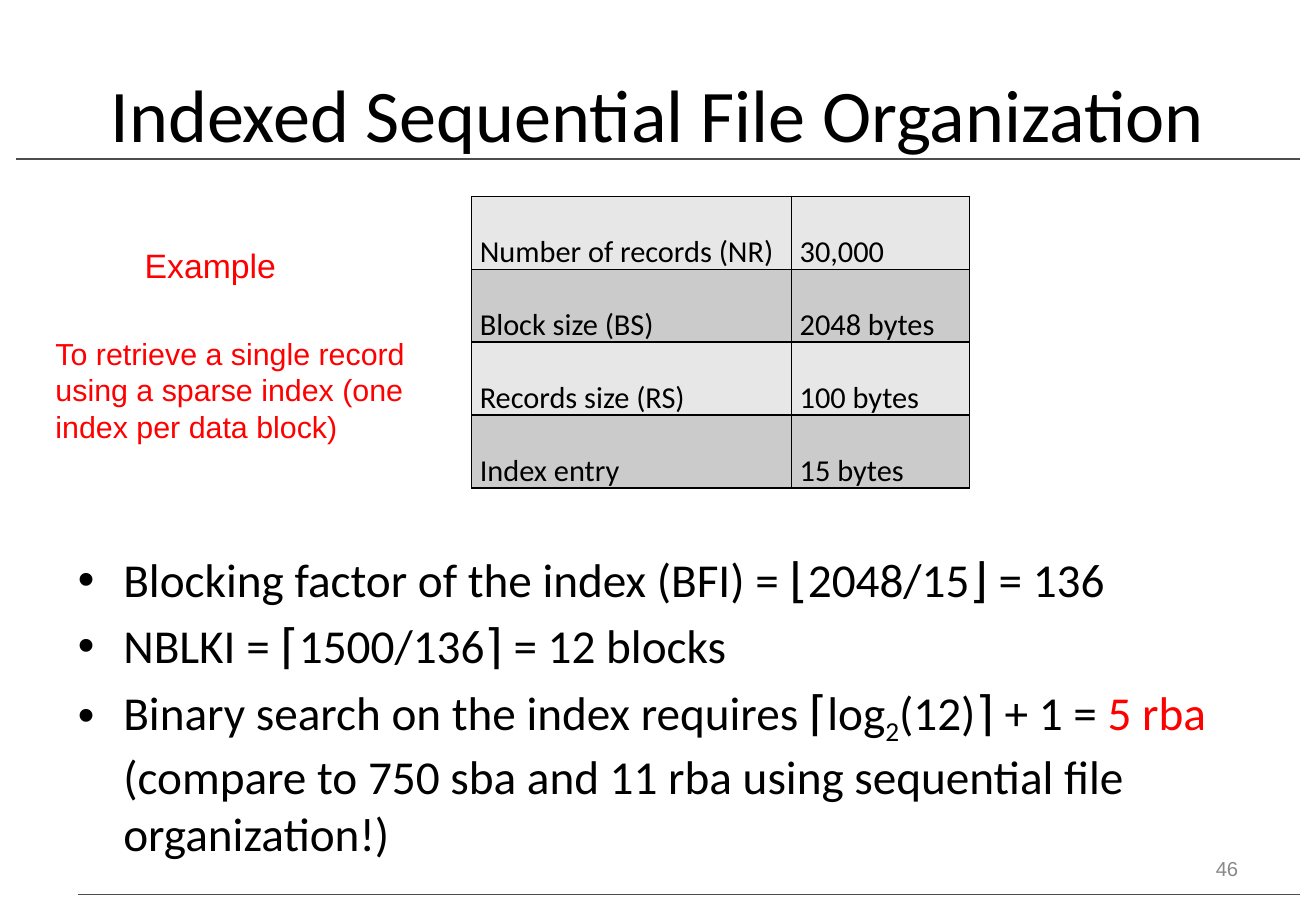
from lxml.etree import SubElement
from pptx import Presentation
from pptx.dml.color import RGBColor
from pptx.enum.shapes import MSO_CONNECTOR
from pptx.enum.text import MSO_ANCHOR, PP_ALIGN
from pptx.oxml.ns import qn
from pptx.util import Pt

EMU_PER_PX = 7620
BLACK, RED, GREY = "000000", "FF0000", "898989"
RULE_COLOUR = "4D4D4D"
ROW_FILLS = ("E7E7E7", "CBCBCB")

FILE_FACTS = [
    ("Number of records (NR)", "30,000"),
    ("Block size (BS)", "2048 bytes"),
    ("Records size (RS)", "100 bytes"),
    ("Index entry", "15 bytes"),
]
CALCULATIONS = [
    [("Blocking factor of the index (BFI) = ⌊2048/15⌋ = 136", BLACK, None)],
    [("NBLKI = ⌈1500/136⌉ = 12 blocks", BLACK, None)],
    [
        ("Binary search on the index requires ⌈log", BLACK, None),
        ("2", BLACK, "-25000"),
        ("(12)⌉ + 1 = ", BLACK, None),
        ("5 rba ", RED, None),
        ("(compare to 750 sba and 11 rba using sequential file organization!)", BLACK, None),
    ],
]


def px(length):
    """Turn a length in px into EMU."""
    return length * EMU_PER_PX


def colour(value):
    """Turn a hex string into a colour."""
    return RGBColor.from_string(value)


def style(paragraph, size, name, shade):
    """Set the font of a paragraph."""
    font = paragraph.font
    font.size, font.name = Pt(size), name
    font.color.rgb = colour(shade)


def add_text(page, box, lines, size, name, shade, align=PP_ALIGN.LEFT, anchor=MSO_ANCHOR.TOP):
    """Add a wrapped text box with one paragraph for each line."""
    frame = page.shapes.add_textbox(*map(px, box)).text_frame
    frame.word_wrap = True
    frame.vertical_anchor = anchor
    frame.text = "\n".join(lines)
    for paragraph in frame.paragraphs:
        paragraph.alignment = align
        style(paragraph, size, name, shade)


def add_rule(page, left, right, top, width):
    """Draw a horizontal rule."""
    rule = page.shapes.add_connector(MSO_CONNECTOR.STRAIGHT, *map(px, (left, top, right, top)))
    rule.line.color.rgb = colour(RULE_COLOUR)
    rule.line.width = Pt(width)
    SubElement(rule._element.spPr, qn("a:effectLst"))


def add_borders(cell):
    """Draw a thin black border on each side of a cell."""
    properties = cell._tc.get_or_add_tcPr()
    for side in ("lnL", "lnR", "lnT", "lnB"):
        line = SubElement(properties, qn(f"a:{side}"), w=str(Pt(1)))
        fill = SubElement(line, qn("a:solidFill"))
        SubElement(fill, qn("a:srgbClr"), val=BLACK)


def add_facts(page, box):
    """Add the table of file facts."""
    left, top, width, height = box
    table = page.shapes.add_table(len(FILE_FACTS), 2, *map(px, box)).table
    table.first_row = table.horz_banding = False
    label_width = 316
    table.columns[0].width = px(label_width)
    table.columns[1].width = px(width - label_width)
    for index, facts in enumerate(FILE_FACTS):
        table.rows[index].height = px(height // len(FILE_FACTS))
        for cell, text in zip(table.rows[index].cells, facts):
            cell.text = text
            cell.margin_left = cell.margin_right = px(8)
            cell.margin_top = cell.margin_bottom = 0
            add_borders(cell)
            cell.fill.solid()
            cell.fill.fore_color.rgb = colour(ROW_FILLS[index % 2])
            paragraph = cell.text_frame.paragraphs[0]
            paragraph.line_spacing = 2.0
            style(paragraph, 18, "Calibri", BLACK)


def add_bullet(paragraph, indent):
    """Give a paragraph a round bullet with a hanging indent."""
    properties = paragraph._p.get_or_add_pPr()
    properties.set("marL", str(px(indent)))
    properties.set("indent", str(px(-indent)))
    SubElement(properties, qn("a:buFont"), typeface="Arial")
    SubElement(properties, qn("a:buChar"), char="•")


def add_calculations(page, box):
    """Add the bulleted calculations."""
    frame = page.shapes.add_textbox(*map(px, box)).text_frame
    frame.word_wrap = True
    for index, spans in enumerate(CALCULATIONS):
        paragraph = frame.add_paragraph() if index else frame.paragraphs[0]
        paragraph.space_before = Pt(5.6)
        add_bullet(paragraph, 45)
        style(paragraph, 28, "Calibri", BLACK)
        for text, shade, baseline in spans:
            span = paragraph.add_run()
            span.text = text
            span.font.color.rgb = colour(shade)
            if baseline:
                span.font._element.set("baseline", baseline)


def add_heading(page, box):
    """Add the centred title with the rule across it."""
    left, top, width, height = box
    add_text(page, box, ["Indexed Sequential File Organization"], 44, "Calibri", BLACK,
             PP_ALIGN.CENTER, MSO_ANCHOR.MIDDLE)
    add_rule(page, left - 49, left + width + 49, top + 121, 1)


def add_example(page, box):
    """Add the red example label and its explanation."""
    left, top, width, height = box
    add_text(page, (left + 88, top, 311, 53), ["Example"], 20, "Arial", RED)
    add_text(page, (left, top + 89, width, height - 89),
             ["To retrieve a single record", "using a sparse index (one index per data block)"],
             18, "Arial", RED)


def add_footer(page, box):
    """Add the page number and the bottom rule."""
    left, top, width, height = box
    add_text(page, (left + 854, top, 304, 48), ["46"], 12, "Arial", GREY,
             PP_ALIGN.RIGHT, MSO_ANCHOR.MIDDLE)
    add_rule(page, left, left + width, top + height, 0.75)


def main():
    """Build the deck and save it."""
    deck = Presentation()
    deck.slide_width, deck.slide_height = px(1300), px(900)
    page = deck.slides.add_slide(deck.slide_layouts[6])
    add_heading(page, (65, 36, 1170, 150))
    add_calculations(page, (65, 538, 1170, 362))
    add_footer(page, (77, 834, 1207, 50))
    add_facts(page, (466, 194, 492, 288))
    add_example(page, (43, 236, 376, 210))
    deck.save("out.pptx")


if __name__ == "__main__":
    main()
